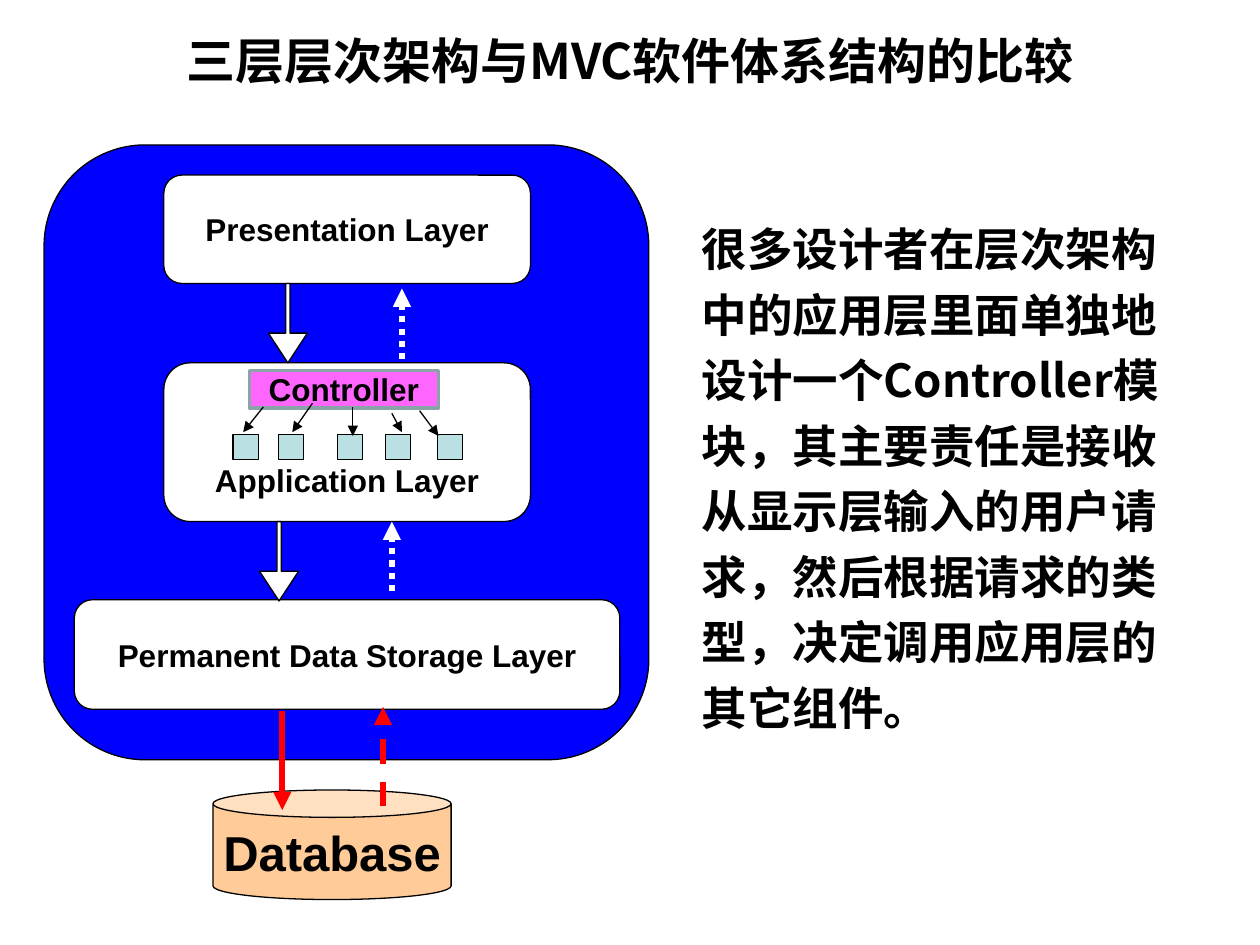
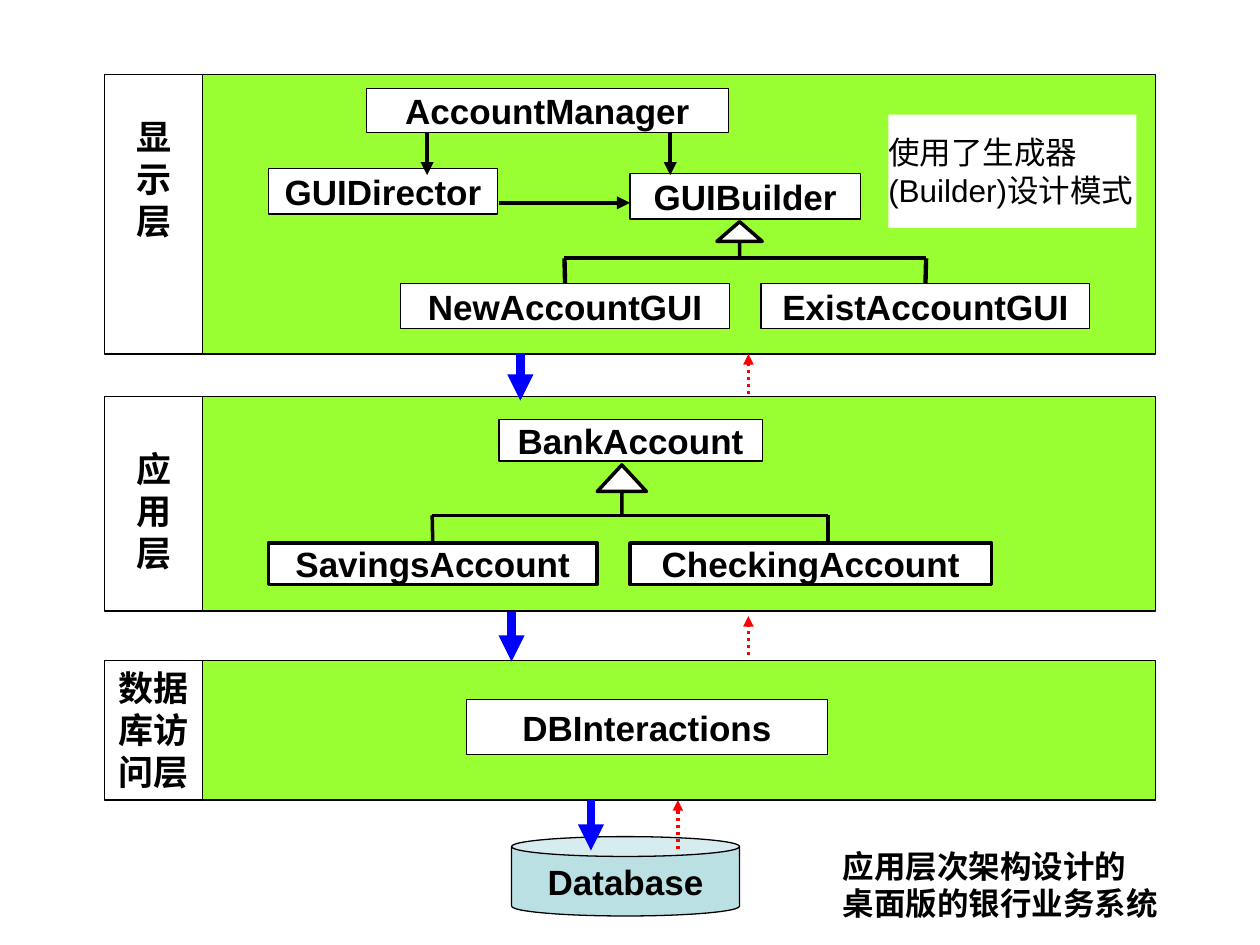
"""Build two slides on layered architecture and its MVC controller."""
from dataclasses import dataclass

from lxml import etree
from pptx import Presentation
from pptx.dml.color import RGBColor
from pptx.enum.dml import MSO_LINE
from pptx.enum.shapes import MSO_CONNECTOR, MSO_SHAPE
from pptx.enum.text import MSO_ANCHOR, PP_ALIGN
from pptx.oxml.ns import qn
from pptx.util import Inches, Pt

RECT, ROUNDED, CAN = MSO_SHAPE.RECTANGLE, MSO_SHAPE.ROUNDED_RECTANGLE, MSO_SHAPE.CAN
DOWN_ARROW, UP_ARROW = MSO_SHAPE.DOWN_ARROW, MSO_SHAPE.UP_ARROW
STRAIGHT = MSO_CONNECTOR.STRAIGHT
DOTTED, DASHED = MSO_LINE.ROUND_DOT, MSO_LINE.DASH
LEFT, CENTER = PP_ALIGN.LEFT, PP_ALIGN.CENTER
TOP, MIDDLE, BOTTOM = MSO_ANCHOR.TOP, MSO_ANCHOR.MIDDLE, MSO_ANCHOR.BOTTOM

BLACK = RGBColor(0x00, 0x00, 0x00)
WHITE = RGBColor(0xFF, 0xFF, 0xFF)
BLUE = RGBColor(0x00, 0x00, 0xFF)
RED = RGBColor(0xFF, 0x00, 0x00)
PEACH = RGBColor(0xFF, 0xCC, 0x99)
PINK = RGBColor(0xFF, 0x66, 0xFF)
SLATE = RGBColor(0x89, 0xA4, 0xA7)
PALE_TEAL = RGBColor(0xBB, 0xE0, 0xE3)
LIME = RGBColor(0x99, 0xFF, 0x33)

LATIN, CHINESE = "Arial", "Noto Sans CJK SC"
ROUNDING = 0.167
TITLE_ONLY, BLANK = 5, 6


@dataclass(frozen=True)
class TextStyle:
    """How the text of a box looks and sits."""
    size: float = 20
    font: str = LATIN
    bold: bool = True
    align: int = CENTER
    anchor: int = MIDDLE
    insets: tuple = (0, 0, 0, 0)
    wrap: bool = False
    line_spacing: float | None = None
    space_before: float = 0


@dataclass(frozen=True)
class Box:
    """A preset shape with optional text."""
    left: float
    top: float
    width: float
    height: float
    text: str = ""
    style: TextStyle = TextStyle()
    kind: int = RECT
    fill: RGBColor | None = WHITE
    line: RGBColor | None = BLACK
    weight: float = 0.75
    adjustments: tuple = ()


@dataclass(frozen=True)
class Stroke:
    """Colour, weight, dash and head of a line."""
    color: RGBColor = BLACK
    weight: float = 0.75
    dash: int | None = None
    arrow: bool = True


@dataclass(frozen=True)
class Layer:
    """A labelled band across the slide."""
    top: float
    height: float
    label: str
    label_inset: float


LAYER_NAME = TextStyle(size=18)
DIAGRAM_TEXT = TextStyle()
LABEL_TEXT = TextStyle(font=CHINESE)
TITLE_TEXT = TextStyle(size=28, font=CHINESE, wrap=True)
WHITE_DOTS = Stroke(WHITE, 3.5, DOTTED)
BLUE_CALL = Stroke(BLUE, 5)
RED_REPLY = Stroke(RED, 2, DOTTED)
USES = Stroke(weight=2.5)


def write_text(frame, text: str, style: TextStyle) -> None:
    """Fill a text frame, one paragraph for each line."""
    frame.text = text
    frame.word_wrap = style.wrap
    frame.vertical_anchor = style.anchor
    left, top, right, bottom = map(Inches, style.insets)
    frame.margin_left, frame.margin_top = left, top
    frame.margin_right, frame.margin_bottom = right, bottom
    for para in frame.paragraphs:
        para.alignment = style.align
        para.space_before = Pt(style.space_before)
        if style.line_spacing:
            para.line_spacing = style.line_spacing
        font = para.font
        font.size, font.bold, font.name = Pt(style.size), style.bold, style.font
        font.color.rgb = BLACK
        defaults = para._p.pPr.find(qn("a:defRPr"))
        etree.SubElement(defaults, qn("a:ea"), typeface=CHINESE)


def draw_box(page, box: Box):
    """Draw one box and return its shape."""
    shape = page.shapes.add_shape(
        box.kind, Inches(box.left), Inches(box.top), Inches(box.width), Inches(box.height))
    shape.shadow.inherit = False
    for index, value in enumerate(box.adjustments):
        shape.adjustments[index] = value
    if box.fill is None:
        shape.fill.background()
    else:
        shape.fill.solid()
        shape.fill.fore_color.rgb = box.fill
    if box.line is None:
        shape.line.fill.background()
    else:
        shape.line.color.rgb = box.line
        shape.line.width = Pt(box.weight)
    if box.text:
        write_text(shape.text_frame, box.text, box.style)
    return shape


def draw_text(page, box: Box) -> None:
    """Draw a plain text box."""
    area = page.shapes.add_textbox(
        Inches(box.left), Inches(box.top), Inches(box.width), Inches(box.height))
    write_text(area.text_frame, box.text, box.style)


def draw_line(page, start: tuple, end: tuple, stroke: Stroke):
    """Draw a straight line and return its connector."""
    connector = page.shapes.add_connector(STRAIGHT, *map(Inches, start + end))
    connector.line.color.rgb = stroke.color
    connector.line.width = Pt(stroke.weight)
    if stroke.dash is not None:
        connector.line.dash_style = stroke.dash
    properties = connector.element.spPr
    if stroke.arrow:
        etree.SubElement(properties.find(qn("a:ln")), qn("a:tailEnd"), type="triangle")
    etree.SubElement(properties, qn("a:effectLst"))
    return connector


def draw_fork(page, bar_y: float, weight: float, children: tuple) -> None:
    """Draw an inheritance bar with a drop to each (x, box) child."""
    stroke = Stroke(weight=weight, arrow=False)
    draw_line(page, (children[0][0], bar_y), (children[-1][0], bar_y), stroke)
    for x, box in children:
        child = draw_box(page, box)
        drop = draw_line(page, (x, bar_y), (x, box.top), stroke)
        if abs(x - box.left - box.width / 2) < 0.01:
            drop.end_connect(child, 0)


def class_box(left: float, top: float, width: float, height: float, name: str,
              weight: float = 0.75) -> Box:
    """Describe a class in the diagram."""
    return Box(left, top, width, height, name, DIAGRAM_TEXT, weight=weight)


def build_comparison(deck) -> None:
    """Build the slide comparing three layers with MVC."""
    page = deck.slides.add_slide(deck.slide_layouts[TITLE_ONLY])
    title = page.shapes.title
    title.left, title.top = Inches(0.5), Inches(0.13)
    title.width, title.height = Inches(9), Inches(0.69)
    write_text(title.text_frame, "三层层次架构与MVC软件体系结构的比较", TITLE_TEXT)

    application = TextStyle(size=18, anchor=BOTTOM, insets=(0, 0, 0, 0.12))
    for left, top, width, height, name, style, fill in (
        (0.35, 1.15, 4.8, 4.88, "", LAYER_NAME, BLUE),
        (1.3, 1.39, 2.91, 0.86, "Presentation Layer", LAYER_NAME, WHITE),
        (1.3, 2.88, 2.91, 1.26, "Application Layer", application, WHITE),
        (0.59, 4.76, 4.33, 0.87, "Permanent Data Storage Layer", LAYER_NAME, WHITE),
    ):
        draw_box(page, Box(left, top, width, height, name, style, ROUNDED, fill,
                           adjustments=(ROUNDING,)))

    for left, top in ((2.13, 2.25), (2.06, 4.14)):
        draw_box(page, Box(left, top, 0.31, 0.63, kind=DOWN_ARROW, adjustments=(0.11, 0.76)))
    draw_line(page, (3.19, 2.85), (3.19, 2.29), WHITE_DOTS)
    draw_line(page, (3.11, 4.69), (3.11, 4.14), WHITE_DOTS)

    draw_box(page, Box(1.69, 6.27, 1.89, 0.87, "Database", TextStyle(size=28), CAN, PEACH,
                       adjustments=(0.25,)))
    draw_line(page, (2.24, 5.64), (2.24, 6.43), Stroke(RED, 3.5))
    draw_line(page, (3.04, 6.4), (3.04, 5.61), Stroke(RED, 3.5, DASHED))

    draw_box(page, Box(1.98, 2.94, 1.5, 0.3, "Controller", LAYER_NAME, fill=PINK,
                       line=SLATE, weight=2))
    for left in (1.85, 2.21, 2.68, 3.06, 3.47):
        draw_box(page, Box(left, 3.45, 0.2, 0.2, fill=PALE_TEAL))
    for start, end in (
        ((2.09, 3.23), (1.93, 3.43)),
        ((2.48, 3.2), (2.32, 3.43)),
        ((2.8, 3.23), (2.8, 3.46)),
        ((3.11, 3.28), (3.19, 3.43)),
        ((3.33, 3.26), (3.48, 3.46)),
    ):
        draw_line(page, start, end, Stroke())

    explanation = TextStyle(26, CHINESE, align=LEFT, anchor=TOP, wrap=True,
                            insets=(0.1, 0.05, 0.1, 0.05), line_spacing=1.2, space_before=6)
    draw_text(page, Box(
        5.47, 1.62, 4.1, 4.26,
        "很多设计者在层次架构中的应用层里面单独地设计一个Controller模块，"
        "其主要责任是接收从显示层输入的用户请求，然后根据请求的类型，"
        "决定调用应用层的其它组件。", explanation))


def build_bank_system(deck) -> None:
    """Build the slide showing the layers of a desktop bank system."""
    page = deck.slides.add_slide(deck.slide_layouts[BLANK])
    for layer in (
        Layer(0.59, 2.22, "显\n示\n层", 0.33),
        Layer(3.15, 1.7, "应\n用\n层", 0.4),
        Layer(5.24, 1.11, "数据\n库访\n问层", 0.05),
    ):
        draw_box(page, Box(1.61, layer.top, 7.56, layer.height, fill=LIME))
        label_style = TextStyle(font=CHINESE, anchor=TOP, insets=(0, layer.label_inset, 0, 0))
        draw_box(page, Box(0.83, layer.top, 0.78, layer.height, layer.label, label_style))

    for box in (
        class_box(2.91, 0.7, 2.87, 0.35, "AccountManager"),
        class_box(5, 1.38, 1.83, 0.36, "GUIBuilder"),
        class_box(2.13, 1.34, 1.82, 0.36, "GUIDirector"),
        class_box(3.96, 3.33, 2.09, 0.33, "BankAccount"),
        class_box(3.7, 5.55, 2.87, 0.44, "DBInteractions"),
    ):
        draw_box(page, box)

    draw_line(page, (3.39, 1.05), (3.39, 1.39), USES)
    draw_line(page, (5.32, 1.05), (5.32, 1.39), USES)
    draw_line(page, (3.96, 1.61), (5, 1.61), USES)

    draw_box(page, Box(5.69, 1.76, 0.36, 0.27, kind=UP_ARROW, weight=2, adjustments=(0, 0.58)))
    draw_fork(page, 2.05, 2.5, (
        (4.48, class_box(3.18, 2.25, 2.61, 0.36, "NewAccountGUI")),
        (7.35, class_box(6.04, 2.25, 2.61, 0.36, "ExistAccountGUI")),
    ))
    draw_box(page, Box(4.74, 3.69, 0.39, 0.4, kind=UP_ARROW, weight=2, adjustments=(0, 0.54)))
    draw_fork(page, 4.09, 2, (
        (3.43, class_box(2.13, 4.31, 2.61, 0.33, "SavingsAccount", 2)),
        (6.57, class_box(5, 4.31, 2.87, 0.33, "CheckingAccount", 2)),
    ))

    draw_box(page, Box(4.06, 6.64, 1.81, 0.63, "Database", DIAGRAM_TEXT, CAN, PALE_TEAL,
                       adjustments=(0.25,)))
    for x, top, bottom in ((4.13, 2.8, 3.18), (4.06, 4.86, 5.25), (4.69, 6.35, 6.75)):
        draw_line(page, (x, top), (x, bottom), BLUE_CALL)
    for x, bottom, top in ((5.94, 3.13, 2.81), (5.94, 5.2, 4.89), (5.38, 6.74, 6.35)):
        draw_line(page, (x, bottom), (x, top), RED_REPLY)

    draw_text(page, Box(6.59, 6.67, 2.75, 0.7, "应用层次架构设计的\n桌面版的银行业务系统",
                        TextStyle(size=18, align=LEFT, insets=(0.1, 0.05, 0.1, 0.05))))
    draw_box(page, Box(7.05, 0.91, 1.97, 0.9, "使用了生成器(Builder)设计模式",
                       TextStyle(size=18, bold=False, align=LEFT, wrap=True), line=None))


def main() -> None:
    """Build and save the deck."""
    deck = Presentation()
    deck.slide_width, deck.slide_height = Inches(10), Inches(7.5)
    build_comparison(deck)
    build_bank_system(deck)
    deck.save("out.pptx")


if __name__ == "__main__":
    main()
